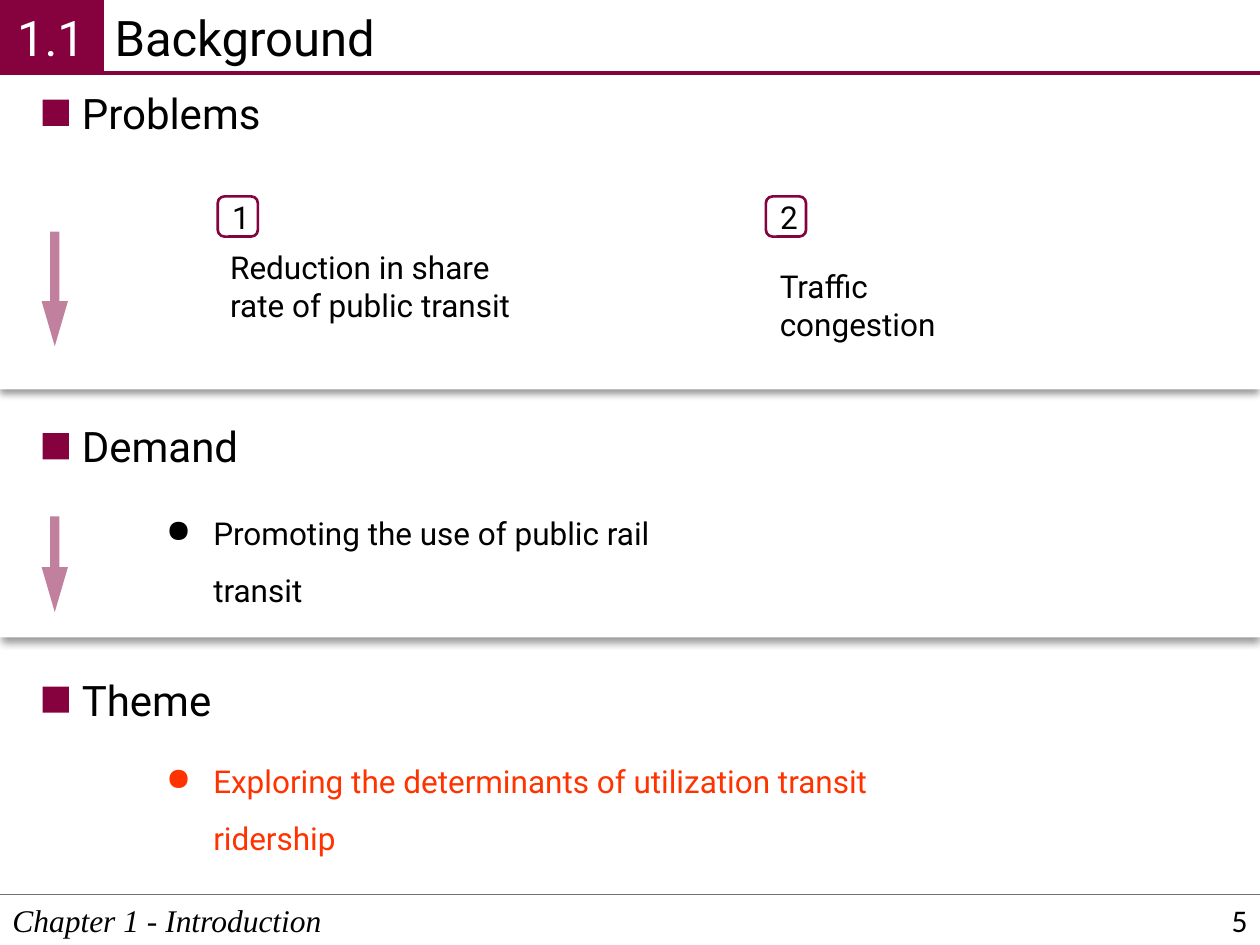
from lxml.etree import SubElement
from pptx import Presentation
from pptx.dml.color import RGBColor
from pptx.enum.shapes import MSO_CONNECTOR, MSO_SHAPE
from pptx.enum.text import MSO_ANCHOR, PP_ALIGN
from pptx.oxml.ns import qn
from pptx.util import Cm, Pt

WINE, BLACK, WHITE = "85023E", "000000", "FFFFFF"
color = RGBColor.from_string


def add_box(shapes, kind, place, fill=None, line=None, width=1.5):
    """Add a preset shape, or a text box when kind is None; place is in cm."""
    lengths = [Cm(value) for value in place]
    if kind is None:
        return shapes.add_textbox(*lengths)
    box = shapes.add_shape(kind, *lengths)
    box.shadow.inherit = False
    if fill:
        box.fill.solid()
        box.fill.fore_color.rgb = color(fill)
    else:
        box.fill.background()
    if line:
        box.line.color.rgb = color(line)
        box.line.width = Pt(width)
    else:
        box.line.fill.background()
    return box


def write(box, text, ink=BLACK, align=PP_ALIGN.LEFT, anchor=MSO_ANCHOR.TOP,
          bullet=False, **font):
    frame = box.text_frame
    frame.word_wrap = True
    frame.vertical_anchor = anchor
    paragraph = frame.paragraphs[0]
    paragraph.alignment = align
    if bullet:
        paragraph.line_spacing = 1.5
        properties = paragraph._p.get_or_add_pPr()
        properties.set("marL", str(Cm(0.95)))
        properties.set("indent", str(Cm(-0.95)))
        SubElement(properties, qn("a:buChar"), char="●")
    span = paragraph.add_run()
    span.text = text
    span.font.color.rgb = color(ink)
    for name, value in ({"name": "Roboto", "size": Pt(18)} | font).items():
        setattr(span.font, name, value)


deck = Presentation()
deck.slide_width, deck.slide_height = Cm(25.4), Cm(19.05)
page = deck.slides.add_slide(deck.slide_layouts[6])
shapes = page.shapes

# Panels with a soft shadow below
for top, height in ((7.85, 5), (1.47, 6.38)):
    panel = add_box(shapes, MSO_SHAPE.RECTANGLE, (0, top, 25.4, height), WHITE)
    effects = panel._element.spPr.find(qn("a:effectLst"))
    shadow = SubElement(effects, qn("a:outerShdw"), blurRad=str(Pt(4)),
                        dist=str(Pt(3)), dir="5400000", algn="t", rotWithShape="0")
    shade = SubElement(shadow, qn("a:srgbClr"), val=BLACK)
    SubElement(shade, qn("a:alpha"), val="40000")

# Title bar and footer
write(add_box(shapes, None, (2.06, 0.03, 23.34, 1.45)), "Background", size=Pt(28))
number = add_box(shapes, MSO_SHAPE.RECTANGLE, (0, 0, 2.06, 1.47), WINE, WINE, 2.25)
write(number, "1.1", WHITE, PP_ALIGN.CENTER, MSO_ANCHOR.MIDDLE, size=Pt(28))
for side in ("left", "top", "right", "bottom"):
    setattr(number.text_frame, f"margin_{side}", Cm(0.15))

for left, top, ink, width in ((0, 18.03, "767171", 1), (2.06, 1.47, WINE, 2.25)):
    rule = shapes.add_connector(MSO_CONNECTOR.STRAIGHT, Cm(left), Cm(top), Cm(25.4), Cm(top))
    rule.line.color.rgb = color(ink)
    rule.line.width = Pt(width)
    SubElement(rule._element.spPr, qn("a:effectLst"))

write(add_box(shapes, None, (0, 18.03, 25.4, 1.02)), "Chapter 1 - Introduction",
      name="Times New Roman", italic=True)
write(add_box(shapes, None, (19.69, 18.03, 5.71, 1.02)), "5", align=PP_ALIGN.RIGHT,
      anchor=MSO_ANCHOR.MIDDLE, name="Calibri")

# Section headings
for heading, top, width in (("Problems", 2.01, 4.14), ("Demand", 8.73, 3.76),
                            ("Theme", 13.84, 3.18)):
    group = shapes.add_group_shape()
    add_box(group.shapes, MSO_SHAPE.RECTANGLE, (0.86, top, 0.53, 0.53), WINE)
    label = add_box(group.shapes, None, (1.4, top - 0.37, width, 1.27))
    write(label, heading, size=Pt(24))

# Arrows between the sections
for top, height in ((4.67, 2.31), (10.41, 1.93)):
    arrow = add_box(shapes, MSO_SHAPE.DOWN_ARROW, (0.84, top, 0.53, height), WINE)
    arrow.adjustments[0], arrow.adjustments[1] = 0.35, 1.71
    tint = arrow._element.spPr.find(qn("a:solidFill"))[0]
    SubElement(tint, qn("a:alpha"), val="50000")

# Numbered problems
for digit, text, left, place in (
    ("1", "Reduction in share rate of public transit", 4.39, (4.39, 4.88, 6.2, 1.8)),
    ("2", "Traffic congestion", 15.44, (15.47, 5.26, 5.4, 1.8)),
):
    badge = add_box(shapes, MSO_SHAPE.ROUNDED_RECTANGLE, (left, 3.96, 0.81, 0.81), line=WINE)
    write(badge, digit, align=PP_ALIGN.CENTER, anchor=MSO_ANCHOR.MIDDLE)
    write(add_box(shapes, None, place), text)

# Bulleted statements
for text, top, width, ink in (
    ("Promoting the use of public rail transit", 9.86, 12, BLACK),
    ("Exploring the determinants of utilization transit ridership", 14.86, 17, "FF3300"),
):
    write(add_box(shapes, None, (3.1, top, width, 2.54)), text, ink, bullet=True)

deck.save("out.pptx")
